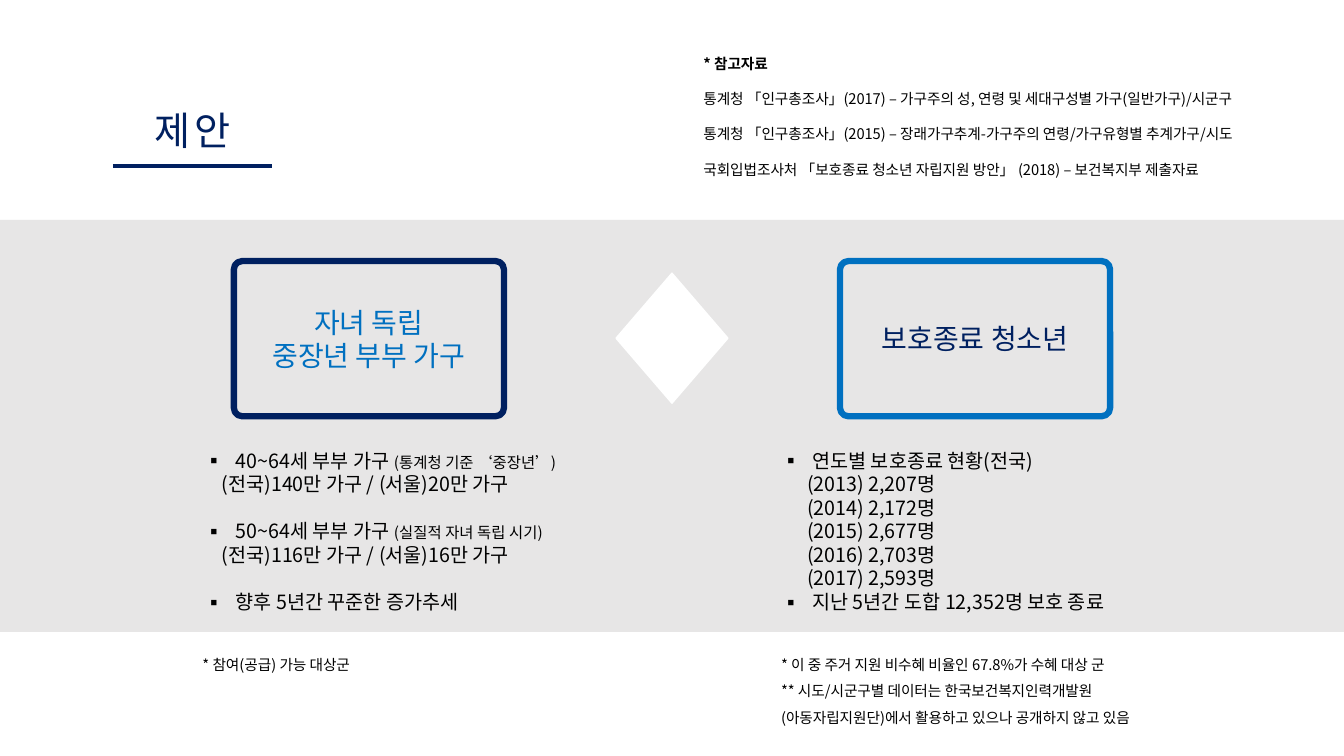
from lxml.etree import SubElement
from pptx import Presentation
from pptx.dml.color import RGBColor
from pptx.enum.shapes import MSO_CONNECTOR, MSO_SHAPE
from pptx.enum.text import MSO_ANCHOR as ANCHOR, MSO_AUTO_SIZE as AUTO, PP_ALIGN as ALIGN
from pptx.oxml.ns import qn
from pptx.util import Inches, Pt

FONT = "Noto Sans CJK KR"
COLORS = {"navy": "002060", "blue": "0070C0", "band": "E7E6E6",
          "white": "FFFFFF", "black": "000000"}
RGB = {name: RGBColor.from_string(value) for name, value in COLORS.items()}

prs = Presentation()
prs.slide_width, prs.slide_height = Inches(13.33), Inches(7.5)
slide = prs.slides.add_slide(prs.slide_layouts[5])
shapes = slide.shapes


def grid(left, top, width, height):
    """Turn percent of the slide's width and height into lengths."""
    col, row = prs.slide_width / 100, prs.slide_height / 100
    return int(left * col), int(top * row), int(width * col), int(height * row)


def write(frame, lines, size, color="black", align=ALIGN.LEFT, spacing=1.0):
    """Fill a frame; each line is a string or a list of (text, size) parts."""
    frame.word_wrap = True
    for i, line in enumerate(lines):
        para = frame.paragraphs[0] if i == 0 else frame.add_paragraph()
        para.alignment, para.line_spacing = align, spacing
        for text, part_size in [(line, size)] if isinstance(line, str) else line:
            run = para.add_run()
            run.text = text
            run.font.size, run.font.name = Pt(part_size), FONT
            run.font.color.rgb = RGB[color]
            SubElement(run.font._element, qn("a:ea"), typeface=FONT)


# Title and its underline
title = shapes.title
title.left, title.top, title.width, title.height = grid(7.65, 13.33, 13.35, 7.6)
write(title.text_frame, ["제안"], 28, "navy", ALIGN.CENTER)
title.text_frame.vertical_anchor = ANCHOR.TOP
title.text_frame.auto_size = AUTO.SHAPE_TO_FIT_TEXT
title.text_frame.paragraphs[0].runs[0].font._element.set("spc", "300")

x, y, length, _ = grid(8.4, 22, 11.85, 0)
underline = shapes.add_connector(MSO_CONNECTOR.STRAIGHT, x, y, x + length, y)
underline.line.color.rgb, underline.line.width = RGB["navy"], Pt(3)
SubElement(underline._element.spPr, qn("a:effectLst"))

# Grey band
band = shapes.add_shape(MSO_SHAPE.RECTANGLE, *grid(0, 29.1, 100, 54.5))
band.shadow.inherit = False
band.fill.solid()
band.fill.fore_color.rgb = RGB["band"]
band.line.fill.background()

# Group cards
for left, lines, border, color in [
    (17.4, ["자녀 독립", "중장년 부부 가구"], "navy", "blue"),
    (62.5, ["보호종료 청소년"], "blue", "navy"),
]:
    card = shapes.add_shape(MSO_SHAPE.ROUNDED_RECTANGLE, *grid(left, 34.53, 20.1, 20.53))
    card.adjustments[0] = 0.054
    card.shadow.inherit = False
    card.fill.background()
    card.line.color.rgb, card.line.width = RGB[border], Pt(4.5)
    card.text_frame.vertical_anchor = ANCHOR.MIDDLE
    write(card.text_frame, lines, 20, color, ALIGN.CENTER)

# Diamond between the cards
diamond = shapes.add_shape(MSO_SHAPE.FLOWCHART_SORT, *grid(45.16, 37.33, 9.68, 14.8))
diamond.rotation = 270
diamond.shadow.inherit = False
diamond.fill.solid()
diamond.fill.fore_color.rgb = RGB["white"]
diamond.line.color.rgb, diamond.line.width = RGB["white"], Pt(1)

# Facts: bulleted lines, with plain lines indented below them
couples = [
    [("40~64세 부부 가구 ", 14), ("(통계청 기준 ‘중장년’)", 11)],
    "(전국)140만 가구 / (서울)20만 가구",
    [("50~64세 부부 가구 ", 14), ("(실질적 자녀 독립 시기)", 11)],
    "(전국)116만 가구 / (서울)16만 가구",
    "향후 5년간 꾸준한 증가추세",
]
by_year = {2013: "2,207", 2014: "2,172", 2015: "2,677", 2016: "2,703", 2017: "2,593"}
youth = ["연도별 보호종료 현황(전국)",
         *[f"({year}) {count}명" for year, count in by_year.items()],
         "지난 5년간 도합 12,352명 보호 종료"]

for left, facts, bulleted, indent, gap in [
    (14.48, couples, (0, 2, 4), 0.17, 17),
    (57.38, youth, (0, 6), 0.26, 0),
]:
    frame = shapes.add_textbox(*grid(left, 58.67, 30.3, 23.33)).text_frame
    write(frame, facts, 14)
    for i, para in enumerate(frame.paragraphs):
        props = para._element.get_or_add_pPr()
        if i in bulleted:
            props.set("marL", str(Inches(0.31)))
            props.set("indent", str(-Inches(0.31)))
            SubElement(props, qn("a:buFont"), typeface="Wingdings")
            SubElement(props, qn("a:buChar"), char="▪")
            props[-2].set("typeface", FONT)
            if i and gap:
                para.space_before = Pt(gap)
        else:
            props.set("marL", str(Inches(indent)))
            props.set("indent", "0")

# References and footnotes
references = [
    "* 참고자료",
    "통계청 「인구총조사」(2017) – 가구주의 성, 연령 및 세대구성별 가구(일반가구)/시군구",
    "통계청 「인구총조사」(2015) – 장래가구추계-가구주의 연령/가구유형별 추계가구/시도",
    "국회입법조사처 「보호종료 청소년 자립지원 방안」 (2018) – 보건복지부 제출자료",
]
youth_notes = [
    "* 이 중 주거 지원 비수혜 비율인 67.8%가 수혜 대상 군",
    "** 시도/시군구별 데이터는 한국보건복지인력개발원(아동자립지원단)에서 활용하고 있으나 공개하지 않고 있음",
]
for place, lines, spacing in [
    ((51.6, 4.27, 45.68, 20), references, 2.0),
    ((57.38, 84.93, 29.18, 11.6), youth_notes, 1.5),
    ((14.33, 84.93, 29.18, 4.53), ["* 참여(공급) 가능 대상군"], 1.5),
]:
    frame = shapes.add_textbox(*grid(*place)).text_frame
    write(frame, lines, 10.5, spacing=spacing)
    if lines is references:
        frame.paragraphs[0].runs[0].font.bold = True

prs.save("out.pptx")
